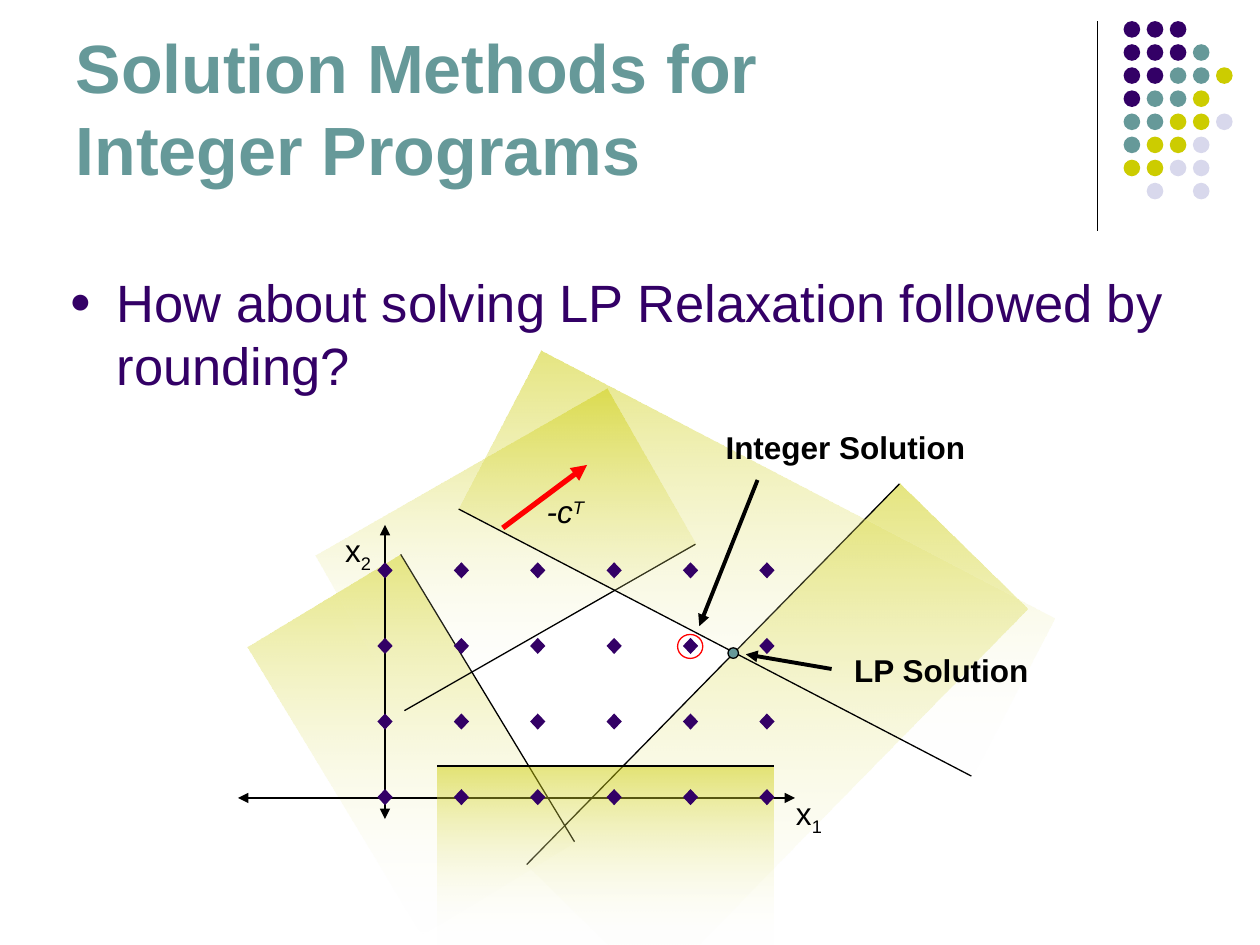
from dataclasses import dataclass
from math import atan2, cos, degrees, hypot, sin

from lxml import etree
from pptx import Presentation
from pptx.dml.color import RGBColor
from pptx.enum.shapes import MSO_CONNECTOR, MSO_SHAPE
from pptx.enum.text import MSO_ANCHOR, MSO_AUTO_SIZE, PP_ALIGN
from pptx.oxml.ns import qn
from pptx.util import Pt

STRAIGHT = MSO_CONNECTOR.STRAIGHT
RECTANGLE, OVAL, DIAMOND = MSO_SHAPE.RECTANGLE, MSO_SHAPE.OVAL, MSO_SHAPE.DIAMOND
BOTTOM, TOP = MSO_ANCHOR.BOTTOM, MSO_ANCHOR.TOP
NO_FIT, GROW = MSO_AUTO_SIZE.NONE, MSO_AUTO_SIZE.SHAPE_TO_FIT_TEXT
LEFT = PP_ALIGN.LEFT

FONT = "Arial"
PURPLE, TEAL, YELLOW, LILAC = "330066", "669999", "CCCC00", "D8D8EC"
BLACK, RED, WHITE = "000000", "FF0000", "FEFEFE"
BAND_DEPTH = 102.24

DOT_ROWS = ["PPP", "PPPT", "PPTTY", "PTTY", "TTYYL", "TYYL", "YYLL", " L L"]
DOT_COLORS = {"P": PURPLE, "T": TEAL, "Y": YELLOW, "L": LILAC}


@dataclass
class Segment:
    x1: float
    y1: float
    x2: float
    y2: float
    color: str = BLACK
    width: float = 0.75
    head: bool = False
    tail: bool = False


@dataclass
class Label:
    text: str
    left: float
    top: float
    width: float
    height: float
    bold: bool = False
    italic: bool = False
    script: str = ""
    baseline: int = 0


SLOPED_CONSTRAINTS = [
    Segment(301, 494, 514, 276.5),
    Segment(229, 316.8, 328.3, 481),
    Segment(397.4, 311, 231.1, 406.1),
    Segment(555.1, 443.5, 262.1, 290.9),
]
FLOOR_CONSTRAINT = Segment(249.8, 437.8, 442.1, 437.8)
OBJECTIVE = Segment(287.3, 301.7, 335.5, 265.7, RED, 3, tail=True)
AXES = [
    Segment(220, 300, 220, 468, head=True, tail=True),
    Segment(136, 456, 454.3, 456, head=True, tail=True),
]
POINTERS = [
    Segment(475.2, 382.3, 426.2, 373.9, width=2.25, tail=True),
    Segment(432.9, 274.3, 399.6, 357.8, width=2.25, tail=True),
]
AXIS_LABELS = [
    Label("-c", 305.3, 277.9, 48.2, 28.8, italic=True, script="T", baseline=30000),
    Label("x", 447.8, 450, 59.8, 31.7, script="1", baseline=-25000),
    Label("x", 190.1, 300.2, 36, 31.7, script="2", baseline=-25000),
]
SOLUTION_LABELS = [
    Label("LP Solution", 481, 368.6, 174.2, 28.8, bold=True),
    Label("Integer Solution", 407.5, 241.2, 178.6, 28.8, bold=True),
]


def rgb(color: str) -> RGBColor:
    return RGBColor.from_string(color)


def draw_segment(slide, segment: Segment) -> None:
    connector = slide.shapes.add_connector(
        STRAIGHT, Pt(segment.x1), Pt(segment.y1), Pt(segment.x2), Pt(segment.y2))
    connector.line.color.rgb = rgb(segment.color)
    connector.line.width = Pt(segment.width)
    outline = connector.line._get_or_add_ln()
    for tag, wanted in (("a:headEnd", segment.head), ("a:tailEnd", segment.tail)):
        if wanted:
            etree.SubElement(outline, qn(tag), type="triangle")
    etree.SubElement(connector._element.spPr, qn("a:effectLst"))


def draw_marker(slide, kind, center_x: float, center_y: float, width: float,
                height: float, fill: str = "", line: str = "") -> None:
    shape = slide.shapes.add_shape(
        kind, Pt(center_x - width / 2), Pt(center_y - height / 2), Pt(width), Pt(height))
    shape.shadow.inherit = False
    if fill:
        shape.fill.solid()
        shape.fill.fore_color.rgb = rgb(fill)
    else:
        shape.fill.background()
    if line:
        shape.line.color.rgb = rgb(line)
        shape.line.width = Pt(0.75)
    else:
        shape.line.fill.background()


def draw_constraint(slide, edge: Segment) -> None:
    """Shade the infeasible side of an edge, fading away from it, and draw the edge."""
    delta_x, delta_y = edge.x2 - edge.x1, edge.y2 - edge.y1
    length, angle = hypot(delta_x, delta_y), atan2(delta_y, delta_x)
    center_x = (edge.x1 + edge.x2) / 2 - sin(angle) * BAND_DEPTH / 2
    center_y = (edge.y1 + edge.y2) / 2 + cos(angle) * BAND_DEPTH / 2
    band = slide.shapes.add_shape(
        RECTANGLE, Pt(center_x - length / 2), Pt(center_y - BAND_DEPTH / 2),
        Pt(length), Pt(BAND_DEPTH))
    band.rotation = degrees(angle)
    band.shadow.inherit = False
    band.line.fill.background()
    band.fill.gradient()
    band.fill.gradient_angle = (degrees(angle) - 90) % 360
    for stop, color, alpha in zip(band.fill.gradient_stops, (YELLOW, WHITE), (50000, 0)):
        stop.color.rgb = rgb(color)
        color_element = stop._gs.find(qn("a:srgbClr"))
        etree.SubElement(color_element, qn("a:alpha"), val=str(alpha))
    draw_segment(slide, edge)


def format_font(font, size: float, color: str, bold: bool = False,
                italic: bool = False) -> None:
    font.name, font.size, font.bold, font.italic = FONT, Pt(size), bold, italic
    font.color.rgb = rgb(color)


def draw_label(slide, label: Label) -> None:
    box = slide.shapes.add_textbox(
        Pt(label.left), Pt(label.top), Pt(label.width), Pt(label.height))
    box.text_frame.word_wrap = True
    box.text_frame.auto_size = GROW
    paragraph = box.text_frame.paragraphs[0]
    paragraph.text = label.text
    if label.script:
        run = paragraph.add_run()
        run.text = label.script
        run.font._element.set("baseline", str(label.baseline))
    for run in paragraph.runs:
        format_font(run.font, 18, BLACK, label.bold, label.italic)


def fill_placeholder(shape, text: str, bounds: tuple, anchor, size: float,
                     color: str, bold: bool = False):
    shape.left, shape.top, shape.width, shape.height = map(Pt, bounds)
    frame = shape.text_frame
    frame.text = text
    frame.auto_size = NO_FIT
    frame.vertical_anchor = anchor
    paragraph = frame.paragraphs[0]
    paragraph.alignment = LEFT
    paragraph.space_before = Pt(0)
    for run in paragraph.runs:
        format_font(run.font, size, color, bold)
    return paragraph


def add_bullet(paragraph) -> None:
    properties = paragraph._p.get_or_add_pPr()
    properties.set("marL", str(Pt(27)))
    properties.set("indent", str(-Pt(27)))
    color = etree.SubElement(properties, qn("a:buClr"))
    etree.SubElement(color, qn("a:srgbClr"), val=PURPLE)
    etree.SubElement(properties, qn("a:buSzPct"), val="70000")
    etree.SubElement(properties, qn("a:buFont"), typeface=FONT)
    etree.SubElement(properties, qn("a:buChar"), char="●")


def main() -> None:
    presentation = Presentation()
    presentation.slide_width, presentation.slide_height = Pt(720), Pt(540)
    slide = presentation.slides.add_slide(presentation.slide_layouts[1])

    fill_placeholder(slide.shapes.title, "Solution Methods for\vInteger Programs",
                     (36, 9.4, 594, 102.2), BOTTOM, 39, TEAL, bold=True)
    add_bullet(fill_placeholder(
        slide.placeholders[1], "How about solving LP Relaxation followed by rounding?",
        (32.4, 150.5, 648, 83.5), TOP, 30, PURPLE))

    draw_segment(slide, Segment(627.1, 12.2, 627.1, 131.8))
    for row, codes in enumerate(DOT_ROWS):
        for column, code in enumerate(codes):
            if code in DOT_COLORS:
                draw_marker(slide, OVAL, 646.8 + 13.2 * column, 16.8 + 13.2 * row,
                            9.5, 9.5, DOT_COLORS[code])

    for constraint in SLOPED_CONSTRAINTS:
        draw_constraint(slide, constraint)
    for segment in [OBJECTIVE, *AXES]:
        draw_segment(slide, segment)
    for label in AXIS_LABELS:
        draw_label(slide, label)
    draw_constraint(slide, FLOOR_CONSTRAINT)

    for row in range(4):
        for column in range(6):
            draw_marker(slide, DIAMOND, 220 + 43.65 * column, 325.9 + 43.2 * row,
                        8.7, 9.2, PURPLE)
    draw_marker(slide, OVAL, 394.4, 369.4, 14.4, 13.7, line=RED)
    draw_marker(slide, OVAL, 419, 373.2, 6, 6, TEAL, BLACK)
    for label in SOLUTION_LABELS:
        draw_label(slide, label)
    for pointer in POINTERS:
        draw_segment(slide, pointer)
    presentation.save("out.pptx")


if __name__ == "__main__":
    main()
